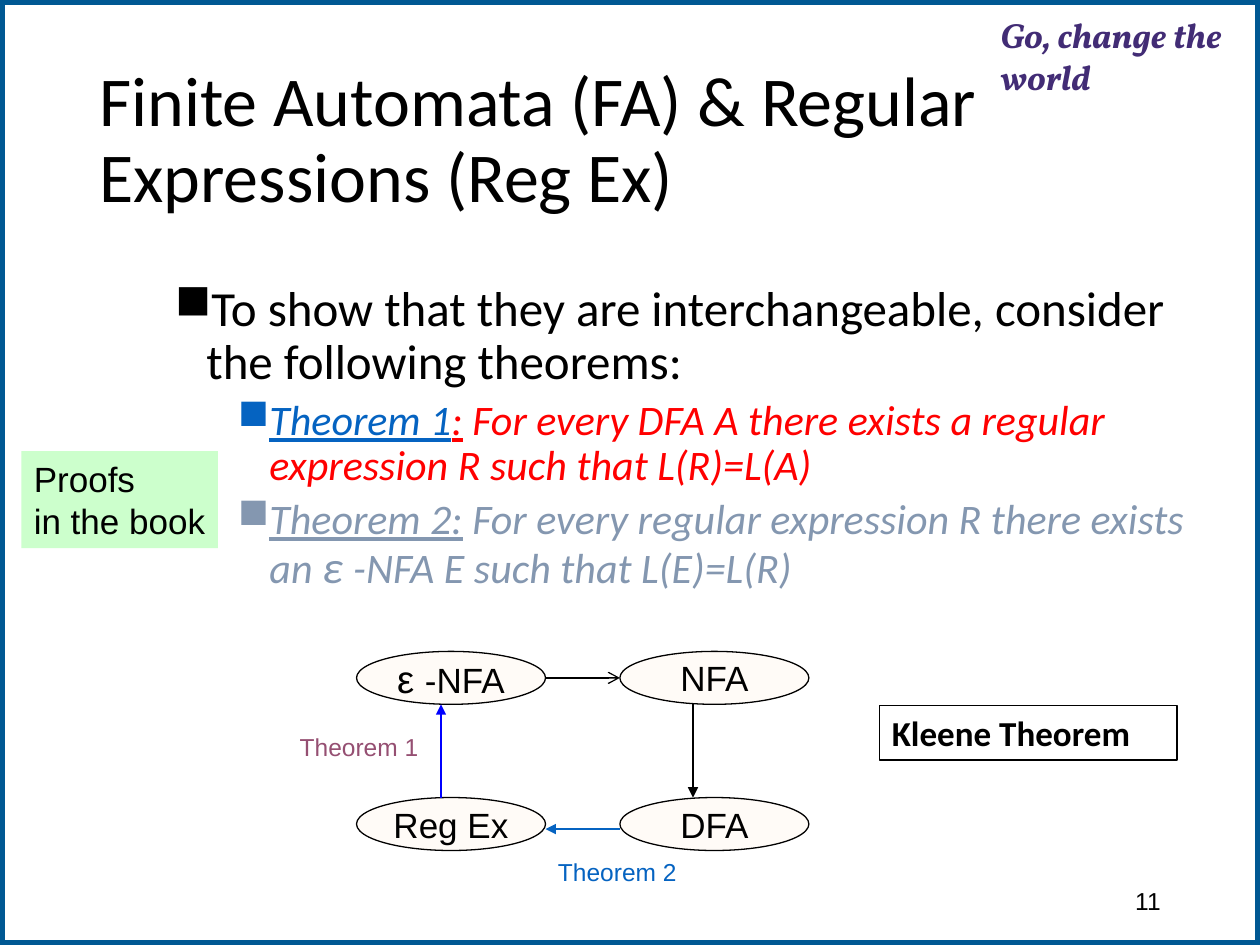
from lxml import etree
from pptx import Presentation
from pptx.dml.color import RGBColor
from pptx.enum.shapes import MSO_CONNECTOR, MSO_SHAPE
from pptx.enum.text import MSO_ANCHOR, PP_ALIGN
from pptx.oxml.ns import qn
from pptx.util import Inches, Pt

RECT, OVAL = MSO_SHAPE.RECTANGLE, MSO_SHAPE.OVAL
STRAIGHT = MSO_CONNECTOR.STRAIGHT
TOP, MIDDLE = MSO_ANCHOR.TOP, MSO_ANCHOR.MIDDLE
LEFT, CENTER, RIGHT = PP_ALIGN.LEFT, PP_ALIGN.CENTER, PP_ALIGN.RIGHT

THEME = {
    "black": "000000", "white": "FFFFFF", "frame": "005893", "motto": "422C75",
    "link": "0563C1", "red": "FF0000", "muted": "8497B0", "blue": "0000FF",
    "plum": "954F72", "node": "FFCC99", "note": "CCFFCC",
    "sans": "Arial", "body": "Calibri", "serif": "Vollkorn",
    "title": 40, "lead": 28, "theorem": 24, "epsilon": 26,
    "label": 20, "node_epsilon": 22, "small": 14,
}

# Content: a run is (text, overrides)
TITLE = "Finite Automata (FA) & Regular Expressions (Reg Ex)"
MOTTO = "Go, change the world"
LEAD = "To show that they are interchangeable, consider the following theorems:"
THEOREMS = [
    [("Theorem 1", {"color": "link", "underline": True}),
     (":", {"color": "red", "underline": True}),
     (" For every DFA A there exists a regular expression R such that L(R)=L(A)",
      {"color": "red"})],
    [("Theorem 2:", {"color": "muted", "underline": True}),
     (" For every regular expression R there exists an ", {"color": "muted"}),
     ("ε ", {"color": "muted", "size": "epsilon"}),
     ("-NFA E such that L(E)=L(R)", {"color": "muted"})],
]
# Diagram nodes: runs, column, row
NODES = [
    ([("ε ", {"size": "node_epsilon"}), ("-NFA", {})], 0, 0),
    ([("NFA", {})], 1, 0),
    ([("DFA", {})], 1, 1),
    ([("Reg Ex", {})], 0, 1),
]
COLUMNS, ROWS, NODE_W, NODE_H = (2.83, 4.92), (5.17, 6.33), 1.5, 0.42
# Arrows: from, to, colour, width, head
BOTTOM, RIGHT_EDGE = ROWS[0] + NODE_H, COLUMNS[0] + NODE_W
ARROWS = [
    ((RIGHT_EDGE, 5.38), (COLUMNS[1], 5.38), "black", 0.75, "arrow"),
    ((5.5, BOTTOM), (5.5, ROWS[1]), "black", 0.75, "triangle"),
    ((COLUMNS[1], 6.58), (RIGHT_EDGE, 6.58), "link", 1.5, "triangle"),
    ((3.5, ROWS[1]), (3.5, BOTTOM), "blue", 1.5, "triangle"),
]
ARROW_LABELS = [("Theorem 1", 2.28, 5.76, "plum"), ("Theorem 2", 4.33, 6.75, "link")]

prs = Presentation()
prs.slide_width, prs.slide_height = Inches(10), Inches(7.5)
s = prs.slides.add_slide(prs.slide_layouts[6])


def color(name):
    return RGBColor.from_string(THEME[name])


def add_runs(p, runs, **base):
    for text, overrides in runs:
        style = {"font": "sans", "size": "label", "color": "black", **base, **overrides}
        r = p.add_run()
        r.text = text
        r.font.name = THEME[style["font"]]
        r.font.size = Pt(THEME[style["size"]])
        r.font.color.rgb = color(style["color"])
        r.font.bold = style.get("bold")
        r.font.italic = style.get("italic")
        r.font.underline = style.get("underline")


def set_frame(sp, anchor=TOP, wrap=True, align=LEFT):
    tf = sp.text_frame
    tf.word_wrap, tf.vertical_anchor = wrap, anchor
    tf.paragraphs[0].alignment = align
    return tf


def add_text(box, text, anchor=TOP, wrap=True, align=LEFT, **style):
    tf = set_frame(s.shapes.add_textbox(*map(Inches, box)), anchor, wrap, align)
    add_runs(tf.paragraphs[0], [(text, {})], **style)
    return tf


def add_box(kind, box, fill, line=None, width=0.75):
    sp = s.shapes.add_shape(kind, *map(Inches, box))
    sp.shadow.inherit = False
    sp.fill.solid()
    sp.fill.fore_color.rgb = color(fill)
    if line:
        sp.line.color.rgb = color(line)
        sp.line.width = Pt(width)
    else:
        sp.line.fill.background()
    return sp


def add_bullet(p, left):
    pPr = p._p.get_or_add_pPr()
    pPr.set("marL", str(Inches(left)))
    pPr.set("indent", str(Inches(-0.25)))
    etree.SubElement(pPr, qn("a:buChar")).set("char", "■")
    p.line_spacing = 0.9


# Frame, motto and title
add_box(RECT, (0, 0, 10, 7.5), "white", "frame", 6)
motto = add_text((7.94, 0.1, 2.05, 0.62), MOTTO, font="serif", color="motto",
                 bold=True, italic=True)
motto.margin_left = motto.margin_right = motto.margin_bottom = 0
motto.margin_top = Inches(0.01)
title = add_text((0.69, 0.4, 8.62, 1.45), TITLE, MIDDLE, font="body", size="title")
title.paragraphs[0].line_spacing = 0.9

# Lead sentence and theorems
body = add_text((1.29, 2.21, 8.5, 2.63), LEAD, font="body", size="lead")
add_bullet(body.paragraphs[0], 0.25)
for runs in THEOREMS:
    p = body.add_paragraph()
    p.level = 1
    add_bullet(p, 0.75)
    p.space_before = Pt(5)
    add_runs(p, runs, font="body", size="theorem", italic=True)

# Slide number
add_text((7.06, 6.95, 2.25, 0.4), "11", MIDDLE, align=RIGHT, size="small")

# Conversion diagram
for runs, col, row in NODES:
    sp = add_box(OVAL, (COLUMNS[col], ROWS[row], NODE_W, NODE_H), "node", "black")
    rgb = sp.fill._xPr.find(qn("a:solidFill")).find(qn("a:srgbClr"))
    etree.SubElement(rgb, qn("a:alpha")).set("val", "8000")
    add_runs(set_frame(sp, MIDDLE, False, CENTER).paragraphs[0], runs)

for start, end, line, width, head in ARROWS:
    arrow = s.shapes.add_connector(STRAIGHT, *map(Inches, start + end))
    arrow.line.color.rgb = color(line)
    arrow.line.width = Pt(width)
    etree.SubElement(arrow.line._get_or_add_ln(), qn("a:tailEnd")).set("type", head)
    etree.SubElement(arrow._element.spPr, qn("a:effectLst"))

for text, x, y, tint in ARROW_LABELS:
    add_text((x, y, 1.15, 0.34), text, wrap=False, size="small", color=tint)

# Side note and theorem name
note = set_frame(add_box(RECT, (0.17, 3.58, 1.56, 0.77), "note"), wrap=False)
p = note.paragraphs[0]
add_runs(p, [("Proofs ", {})])
p.add_line_break()
add_runs(p, [("in the book", {})])
kleene = set_frame(add_box(RECT, (6.98, 5.6, 2.36, 0.43), "white", "black", 1), wrap=False)
add_runs(kleene.paragraphs[0], [("Kleene Theorem", {})], font="body", bold=True)

prs.save("out.pptx")
